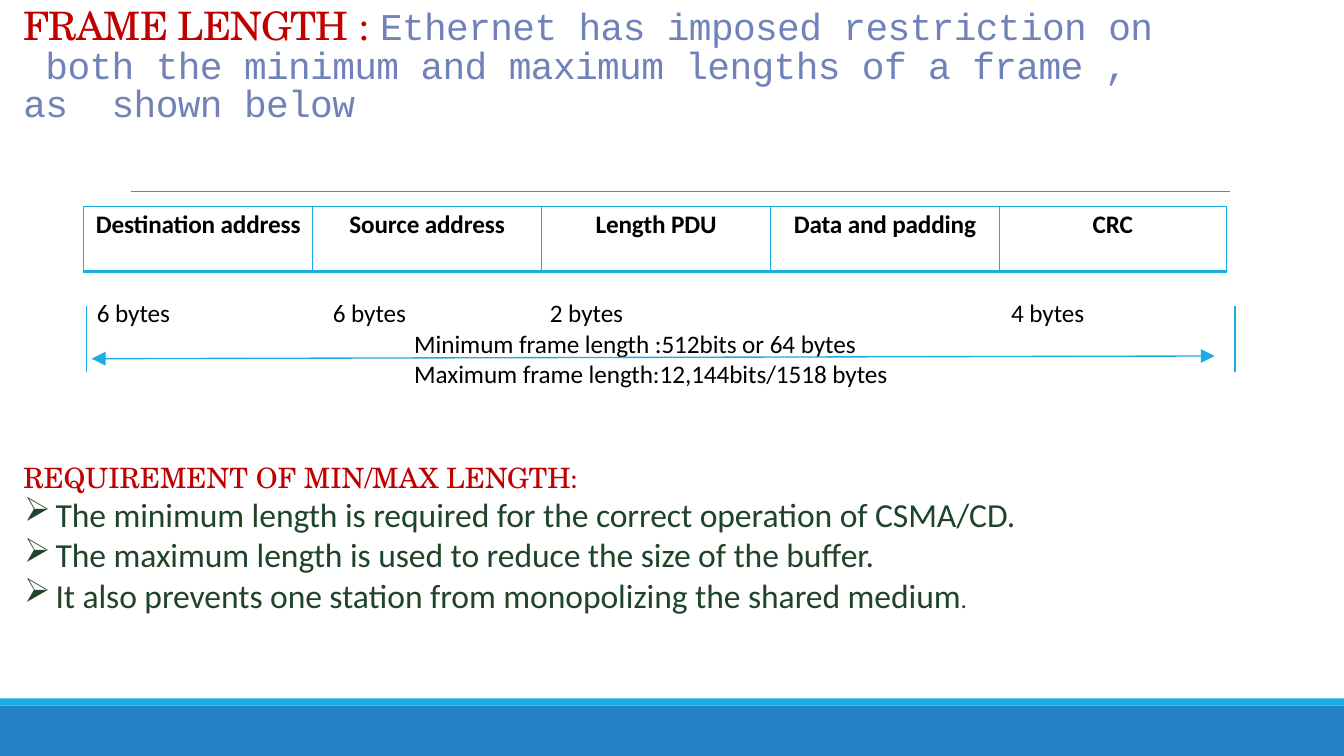
import pptx
import pptx.util
import pptx.dml.color
import pptx.enum.shapes
import pptx.enum.text
import pptx.oxml.ns
from lxml import etree
from dataclasses import dataclass, field

Cm, Pt = pptx.util.Cm, pptx.util.Pt
qn = pptx.oxml.ns.qn


@dataclass
class Theme:
    sky: str = "1CACE3"
    blue: str = "2583C5"
    grey: str = "7E7E7E"
    # style name: font values, colour, letter spacing in points
    styles: dict = field(default_factory=lambda: {
        "title": ({"name": "TeX Gyre Schola", "size": Pt(28)}, "C00000", -0.5),
        "colon": ({"name": "TeX Gyre Schola", "size": Pt(28)}, "C00000", -0.1),
        "lead": ({"name": "Courier New", "size": Pt(27)}, "7082B8", -0.45),
        "head": ({"name": "Calibri", "size": Pt(18), "bold": True}, "000000", -0.1),
        "label": ({"name": "Calibri", "size": Pt(18)}, "000000", -0.05),
        "topic": ({"name": "TeX Gyre Schola", "size": Pt(20)}, "C00000", -0.05),
        "mark": ({"name": "Calibri", "size": Pt(20)}, "C00000", 0),
        "point": ({"name": "Calibri", "size": Pt(24)}, "1F4429", -0.07),
        "stop": ({"name": "Calibri", "size": Pt(18)}, "1F4429", 0),
    })


THEME = Theme()


def assign(target, values):
    for key, value in values.items():
        setattr(target, key, value)


def color(code):
    return pptx.dml.color.RGBColor.from_string(code)


def add_runs(para, runs):
    for text, style in runs:
        values, code, gap = THEME.styles[style]
        run = para.add_run()
        run.text = text
        assign(run.font, values)
        run.font.color.rgb = color(code)
        run.font._element.set("spc", str(round(gap * 100)))


def indent(para, left, first=0, bullet=None):
    props = para._p.get_or_add_pPr()
    props.set("marL", str(Cm(left)))
    props.set("indent", str(Cm(first)))
    if bullet:
        etree.SubElement(props, qn("a:buChar")).set("char", bullet)


def add_text(slide, left, top, width, height, paras, inset=0.03, wrap=True):
    """Each paragraph is (runs, indent values, line spacing)."""
    frame = slide.shapes.add_textbox(Cm(left), Cm(top), Cm(width), Cm(height)).text_frame
    assign(frame, {"word_wrap": wrap, "margin_left": 0, "margin_right": 0,
                   "margin_top": Cm(inset), "margin_bottom": 0})
    for i, (runs, dent, space) in enumerate(paras):
        para = frame.add_paragraph() if i else frame.paragraphs[0]
        indent(para, *dent)
        if space:
            para.line_spacing = space
        add_runs(para, runs)


def add_band(slide, top, height, code):
    band = slide.shapes.add_shape(pptx.enum.shapes.MSO_SHAPE.RECTANGLE,
                                  0, Cm(top), Cm(33.87), Cm(height))
    band.shadow.inherit = False
    band.fill.solid()
    band.fill.fore_color.rgb = color(code)
    band.line.fill.background()


def add_line(slide, start, end, code, width, arrows=False):
    line = slide.shapes.add_connector(pptx.enum.shapes.MSO_CONNECTOR.STRAIGHT,
                                      *map(Cm, start + end))
    line.line.color.rgb = color(code)
    line.line.width = Pt(width)
    if arrows:
        for tag in ("a:headEnd", "a:tailEnd"):
            tip = etree.SubElement(line.line._get_or_add_ln(), qn(tag))
            for key, value in {"type": "triangle", "w": "lg", "len": "lg"}.items():
                tip.set(key, value)
    etree.SubElement(line._element.spPr, qn("a:effectLst"))


def add_edges(cell):
    props = cell._tc.get_or_add_tcPr()
    for i, (side, width) in enumerate((("L", 1), ("R", 1), ("T", 1), ("B", 2.25))):
        edge = etree.Element(qn("a:ln" + side), w=str(Pt(width)))
        fill = etree.SubElement(edge, qn("a:solidFill"))
        etree.SubElement(fill, qn("a:srgbClr")).set("val", THEME.sky)
        props.insert(i, edge)


def add_frame(slide, names):
    widths = [5.77] * 4 + [5.72]
    table = slide.shapes.add_table(1, len(names), Cm(2.11), Cm(5.21),
                                   Cm(sum(widths)), Cm(1.63)).table
    assign(table, {"first_row": False, "horz_banding": False})
    for i, (name, width) in enumerate(zip(names, widths)):
        table.columns[i].width = Cm(width)
        cell = table.cell(0, i)
        assign(cell, {"margin_left": 0, "margin_right": 0,
                      "margin_top": Cm(0.08), "margin_bottom": 0})
        cell.fill.background()
        add_edges(cell)
        para = cell.text_frame.paragraphs[0]
        para.alignment = pptx.enum.text.PP_ALIGN.CENTER
        add_runs(para, [(name, "head")])


def main():
    deck = pptx.Presentation()
    assign(deck, {"slide_width": Cm(33.87), "slide_height": Cm(19.05)})
    slide = deck.slides.add_slide(deck.slide_layouts[6])

    # Footer bands and rule
    add_band(slide, 17.78, 1.27, THEME.blue)
    add_band(slide, 17.6, 0.18, THEME.sky)
    add_line(slide, (3.3, 4.83), (30.99, 4.83), THEME.grey, 0.48)

    # Title
    lead = ("Ethernet has imposed restriction on  both the minimum and "
            "maximum lengths of a frame , as  shown below")
    runs = [("FRAME LENGTH ", "title"), (": ", "colon"), (lead, "lead")]
    add_text(slide, 0.56, 0, 28.98, 3.18, [(runs, (0.03,), 0.84)], inset=0.23)

    # Frame fields and their sizes
    add_frame(slide, ["Destination address", "Source address", "Length PDU",
                      "Data and padding", "CRC"])
    for left, size in ((2.41, "6 bytes"), (8.36, "6 bytes"), (25.45, "4 bytes")):
        add_text(slide, left, 7.47, 1.93, 0.84,
                 [([(size, "label")], (0.03,), None)], wrap=False)
    notes = (("2 bytes", 3.45),
             ("Minimum frame length :512bits or 64 bytes", 0.03),
             ("Maximum frame length:12,144bits/1518 bytes", 0.03))
    add_text(slide, 10.41, 7.47, 12.09, 2.36,
             [([(text, "label")], (left,), None) for text, left in notes])

    # Length span
    for left in (2.18, 31.12):
        add_line(slide, (left, 7.7), (left, 9.37), THEME.sky, 0.96)
    add_line(slide, (2.31, 9.04), (30.61, 8.97), THEME.sky, 0.96, arrows=True)

    # Requirements
    dent = (0.84, -0.79, "➢")
    add_text(slide, 0.56, 11.58, 25.17, 3.96, [
        ([("REQUIREMENT OF MIN/MAX LENGTH", "topic"), (":", "mark")],
         (0.03,), Pt(23.8)),
        ([("The minimum length is required for the correct operation of CSMA/CD.",
           "point")], dent, Pt(28.6)),
        ([("The maximum length is used to reduce the size of the buffer.",
           "point")], dent, None),
        ([("It also prevents one station from monopolizing the shared medium",
           "point"), (".", "stop")], dent, None),
    ])

    deck.save("out.pptx")


if __name__ == "__main__":
    main()
